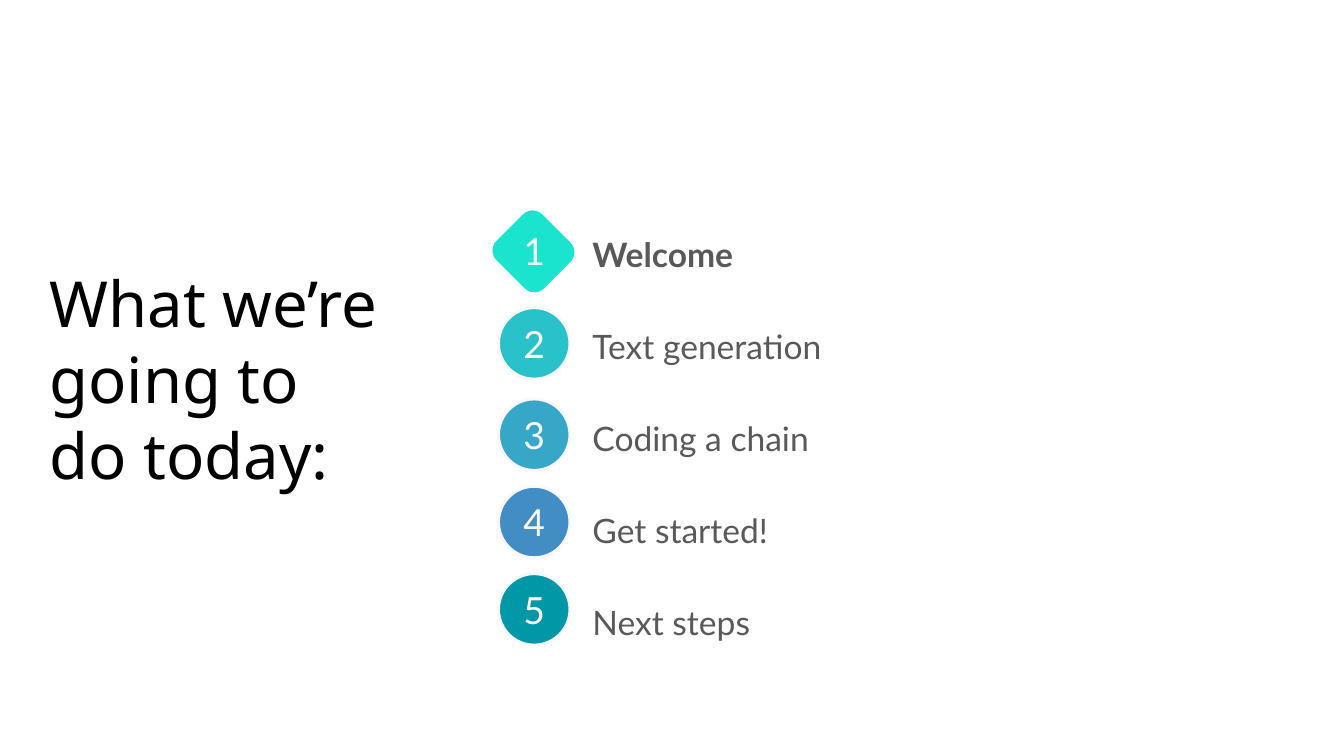
from pptx import Presentation
from pptx.dml.color import RGBColor
from pptx.enum.shapes import MSO_SHAPE
from pptx.enum.text import MSO_ANCHOR, MSO_AUTO_SIZE, PP_ALIGN
from pptx.util import Pt

OVAL, ROUNDED = MSO_SHAPE.OVAL, MSO_SHAPE.ROUNDED_RECTANGLE
MIDDLE = MSO_ANCHOR.MIDDLE
NO_FIT = MSO_AUTO_SIZE.NONE
LEFT, CENTER = PP_ALIGN.LEFT, PP_ALIGN.CENTER

THEME = {
    "title": {"name": "Noto Sans", "size": Pt(34), "color": "000000"},
    "label": {"name": "Lato", "size": Pt(18), "color": "595959"},
    "number": {"name": "Lato", "size": Pt(20), "color": "F8F8FA"},
    "outline": "F8F8FA",
}

AGENDA = [
    ("Welcome", "1AE4CD", 115.2),
    ("Text generation", "2AC2CA", 164.9),
    ("Coding a chain", "36A7C7", 213.8),
    ("Get started!", "428DC4", 260.6),
    ("Next steps", "0097A7", 307.4),
]
BADGE_LEFT, BADGE_SIZE = 267.1, 38.2
LABEL_LEFT, LABEL_TOP, LABEL_PITCH = 310.3, 113, 49.3


def set_text(sp, text, style, inset, align, **para):
    tf = sp.text_frame
    frame = {"word_wrap": True, "auto_size": NO_FIT, "vertical_anchor": MIDDLE}
    frame |= {f"margin_{side}": Pt(inset) for side in ("left", "top", "right", "bottom")}
    for key, value in frame.items():
        setattr(tf, key, value)
    tf.text = text
    p = tf.paragraphs[0]
    for key, value in {"alignment": align, **para}.items():
        setattr(p, key, value)
    for r in p.runs:
        for key, value in style.items():
            if key == "color":
                r.font.color.rgb = RGBColor.from_string(value)
            else:
                setattr(r.font, key, value)


def add_badge(s, kind, left, top, width, height, fill=None, outlined=False):
    sp = s.shapes.add_shape(kind, Pt(left), Pt(top), Pt(width), Pt(height))
    sp.shadow.inherit = False
    if fill:
        sp.fill.solid()
        sp.fill.fore_color.rgb = RGBColor.from_string(fill)
    else:
        sp.fill.background()
    if outlined:
        sp.line.color.rgb = RGBColor.from_string(THEME["outline"])
        sp.line.width = Pt(1.5)
    else:
        sp.line.fill.background()
    return sp


prs = Presentation()
prs.slide_width, prs.slide_height = Pt(720), Pt(405)
s = prs.slides.add_slide(prs.slide_layouts[5])

title = s.shapes.title
box = {"left": 19.4, "top": 115.2, "width": 227.5, "height": 175}
for key, value in box.items():
    setattr(title, key, Pt(value))
set_text(title, "What we’re going to \vdo today:", THEME["title"], 7.2, LEFT)

for i, (label, color, top) in enumerate(AGENDA):
    current = i == 0
    if current:
        diamond = add_badge(s, ROUNDED, 267.8, 117.4, 36, 34.6, color)
        diamond.adjustments[0] = 0.21
        diamond.rotation = 45
    badge = add_badge(s, OVAL, BADGE_LEFT, top, BADGE_SIZE, BADGE_SIZE,
                      None if current else color, not current)
    set_text(badge, str(i + 1), THEME["number"], 0, CENTER)

    sp = s.shapes.add_textbox(Pt(LABEL_LEFT), Pt(LABEL_TOP + i * LABEL_PITCH), Pt(347), Pt(43.2))
    set_text(sp, label, {**THEME["label"], "bold": current}, 7.2, LEFT,
             line_spacing=1.15, space_after=Pt(12))

prs.save("out.pptx")
